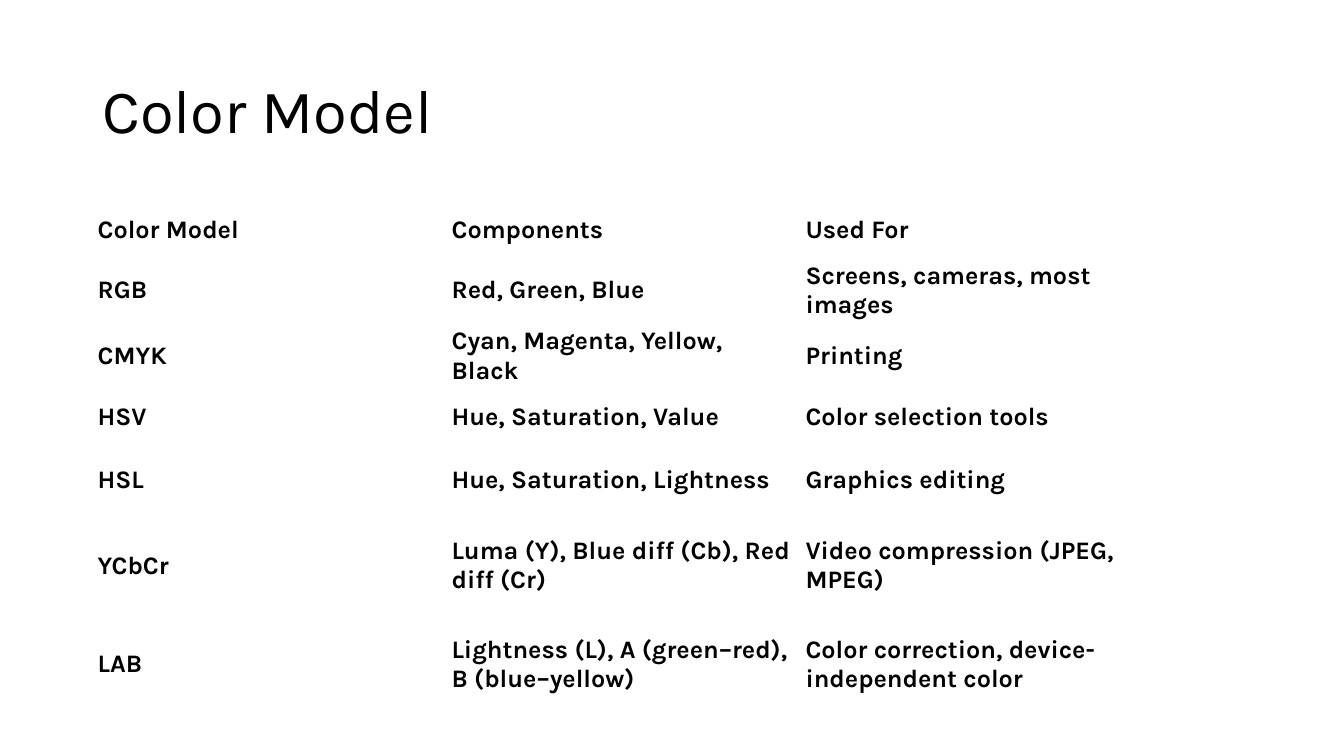
from dataclasses import dataclass
from typing import NamedTuple

from pptx import Presentation
from pptx.dml.color import RGBColor
from pptx.enum.text import MSO_ANCHOR
from pptx.slide import Slide
from pptx.text.text import TextFrame
from pptx.util import Cm, Pt


@dataclass(frozen=True)
class Theme:
    font: str = "Karla"
    ink: RGBColor = RGBColor(0, 0, 0)
    title_size: int = 44
    table_size: int = 18


class ModelRow(NamedTuple):
    model: str
    components: str
    used_for: str
    height: float = 1.42


THEME = Theme()
LEFT = 2.33
COLUMN_WIDTH = 8.92

COLOR_MODELS = [
    ModelRow("Color Model", "Components", "Used For"),
    ModelRow("RGB", "Red, Green, Blue", "Screens, cameras, most images"),
    ModelRow("CMYK", "Cyan, Magenta, Yellow, Black", "Printing"),
    ModelRow("HSV", "Hue, Saturation, Value", "Color selection tools"),
    ModelRow("HSL", "Hue, Saturation, Lightness", "Graphics editing", 1.8),
    ModelRow("YCbCr", "Luma (Y), Blue diff (Cb), Red diff (Cr)",
             "Video compression (JPEG, MPEG)", 2.49),
    ModelRow("LAB", "Lightness (L), A (green–red), B (blue–yellow)",
             "Color correction, device-independent color", 2.49),
]


def write(frame: TextFrame, text: str, *, size: int, bold: bool = False,
          line_spacing: float = 1.0) -> None:
    paragraph = frame.paragraphs[0]
    paragraph.line_spacing = line_spacing
    run = paragraph.add_run()
    run.text = text
    run.font.name = THEME.font
    run.font.size = Pt(size)
    run.font.bold = bold
    run.font.color.rgb = THEME.ink


def add_title(slide: Slide, text: str) -> None:
    title = slide.shapes.add_textbox(Cm(LEFT), Cm(1.02), Cm(29.21), Cm(3.68))
    title.text_frame.word_wrap = True
    title.text_frame.vertical_anchor = MSO_ANCHOR.MIDDLE
    write(title.text_frame, text, size=THEME.title_size, line_spacing=0.9)


def add_model_table(slide: Slide, models: list[ModelRow]) -> None:
    texts = [(row.model, row.components, row.used_for) for row in models]
    columns = len(texts[0])
    table = slide.shapes.add_table(
        len(models), columns, Cm(LEFT), Cm(5.08), Cm(columns * COLUMN_WIDTH),
        Cm(sum(row.height for row in models))).table
    table.first_row = table.horz_banding = False

    for column in table.columns:
        column.width = Cm(COLUMN_WIDTH)
    for table_row, model, row_texts in zip(table.rows, models, texts):
        table_row.height = Cm(model.height)
        for cell, text in zip(table_row.cells, row_texts):
            cell.fill.background()
            cell.vertical_anchor = MSO_ANCHOR.MIDDLE
            cell.margin_left = cell.margin_right = Cm(0.13)
            cell.margin_top = cell.margin_bottom = Cm(0.06)
            write(cell.text_frame, text, size=THEME.table_size, bold=True)


def main() -> None:
    presentation = Presentation()
    presentation.slide_width = Cm(33.87)
    presentation.slide_height = Cm(19.05)
    slide = presentation.slides.add_slide(presentation.slide_layouts[6])

    # Heading
    add_title(slide, "Color Model")

    # Overview of the color models
    add_model_table(slide, COLOR_MODELS)

    presentation.save("out.pptx")


if __name__ == "__main__":
    main()
